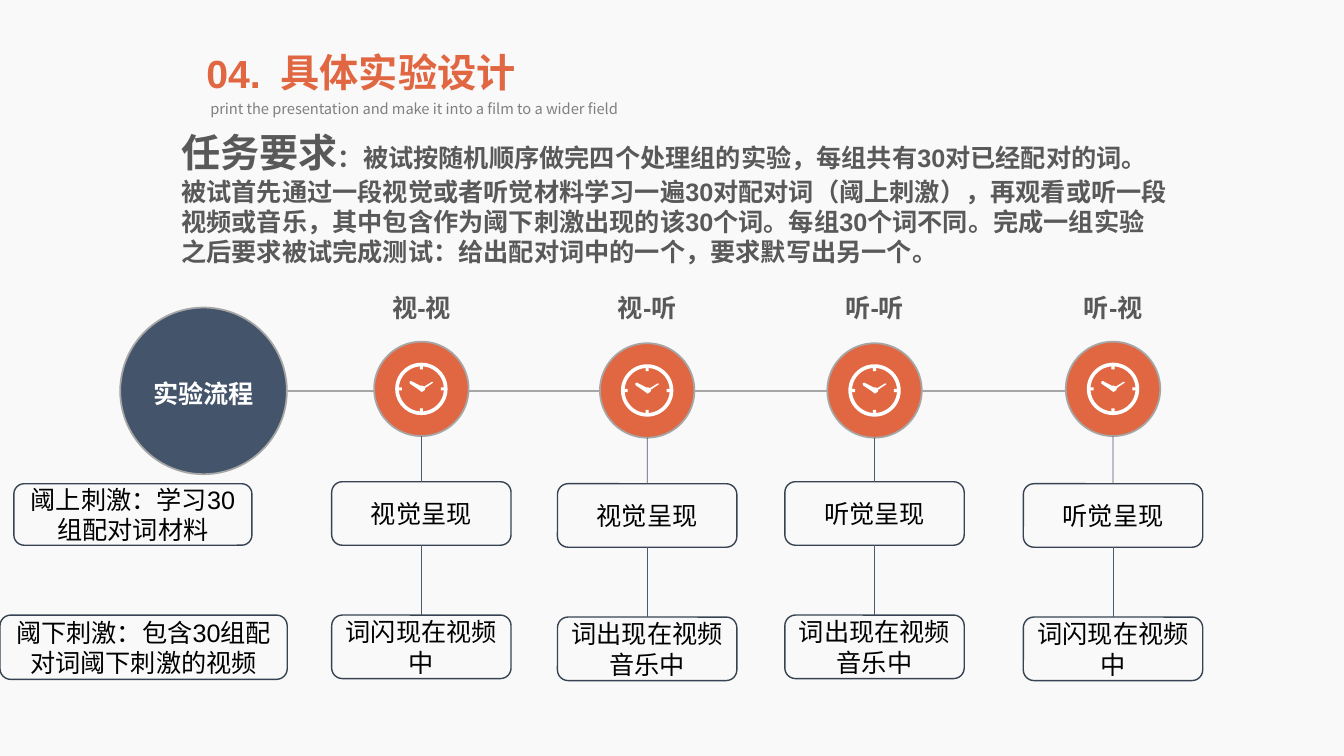
from lxml.etree import SubElement
from pptx import Presentation
from pptx.dml.color import RGBColor
from pptx.enum.shapes import MSO_CONNECTOR, MSO_SHAPE
from pptx.enum.text import MSO_ANCHOR, MSO_AUTO_SIZE, PP_ALIGN
from pptx.oxml.ns import qn
from pptx.util import Cm, Pt

COLORS = {
    "background": "F9F9F9",
    "orange": "E06741",
    "navy": "44546A",
    "gray": "A6A6A6",
    "text": "595959",
    "subtitle": "808080",
    "stem": "4A5A6F",
    "border": "374352",
    "white": "FFFFFF",
    "black": "000000",
}

GROUPS = [
    ("视-视", "视觉呈现", "词闪现在视频中", 10.62, 9.8, 12.14),
    ("视-听", "视觉呈现", "词出现在视频音乐中", 16.31, 9.84, 12.19),
    ("听-听", "听觉呈现", "词出现在视频音乐中", 22.04, 9.84, 12.14),
    ("听-视", "听觉呈现", "词闪现在视频中", 28.05, 9.8, 12.19),
]

TASK_HEADING = "任务要求"
TASK_BODY = (
    "：被试按随机顺序做完四个处理组的实验，每组共有30对已经配对的词。"
    "被试首先通过一段视觉或者听觉材料学习一遍30对配对词（阈上刺激），"
    "再观看或听一段视频或音乐，其中包含作为阈下刺激出现的该30个词。"
    "每组30个词不同。完成一组实验之后要求被试完成测试："
    "给出配对词中的一个，要求默写出另一个。"
)

CIRCLE_RADIUS = 1.19
FLOW_RADIUS = 2.1
FLOW_X, FLOW_Y = 5.13, 9.85
BOX_WIDTH = 4.52
BOX_HEIGHT = 1.6
ROW_STEP = 3.36
CLOCK_RADIUS = 0.66
CLOCK_HANDS = [
    (-260, -200), (-30, -80), (20, -80), (70, -60), (270, -180), (300, -160),
    (95, -20), (85, 30), (10, 80), (-80, 10), (-290, -130), (-300, -180),
]
CLOCK_TICK = [(490, -40), (600, -40), (600, 40), (490, 40)]


def color(name):
    return RGBColor.from_string(COLORS[name])


def format_run(run, size, tint, bold=False, font="Arial"):
    run.font.name = font
    run.font.size = Pt(size)
    run.font.bold = bold
    run.font.color.rgb = color(tint)


def fill_text(shape, text, size, tint, bold=False, align=PP_ALIGN.CENTER, font="Arial"):
    shape.text_frame.text = text
    paragraph = shape.text_frame.paragraphs[0]
    paragraph.alignment = align
    format_run(paragraph.runs[0], size, tint, bold, font)
    return paragraph


def add_text(slide, bounds, text, size, tint, wrap=True, **style):
    label = slide.shapes.add_textbox(*map(Cm, bounds))
    label.text_frame.word_wrap = wrap
    label.text_frame.auto_size = MSO_AUTO_SIZE.SHAPE_TO_FIT_TEXT
    return fill_text(label, text, size, tint, **style)


def paint(shape, fill):
    shape.shadow.inherit = False
    shape.fill.solid()
    shape.fill.fore_color.rgb = color(fill)
    shape.line.fill.background()


def add_round(slide, preset, x, y, radius, fill):
    disc = slide.shapes.add_shape(
        preset, Cm(x - radius), Cm(y - radius), Cm(2 * radius), Cm(2 * radius))
    paint(disc, fill)
    return disc


def add_circle(slide, x, y, radius, fill):
    circle = add_round(slide, MSO_SHAPE.OVAL, x, y, radius, fill)
    circle.line.color.rgb = color("gray")
    circle.line.width = Pt(1.25)


def add_box(slide, bounds, text):
    box = slide.shapes.add_shape(MSO_SHAPE.ROUNDED_RECTANGLE, *map(Cm, bounds))
    box.shadow.inherit = False
    box.fill.background()
    box.line.color.rgb = color("border")
    box.line.width = Pt(1)
    box.text_frame.word_wrap = True
    box.text_frame.vertical_anchor = MSO_ANCHOR.MIDDLE
    fill_text(box, text, 18, "black")
    return box


def add_line(slide, start, end, tint, width):
    line = slide.shapes.add_connector(MSO_CONNECTOR.STRAIGHT, *map(Cm, start + end))
    line.line.color.rgb = color(tint)
    line.line.width = Pt(width)
    SubElement(line._element.spPr, qn("a:effectLst"))
    return line


def add_clock(slide, x, y):
    rim = add_round(slide, MSO_SHAPE.DONUT, x, y, CLOCK_RADIUS, "white")
    rim.adjustments[0] = 0.07
    builder = slide.shapes.build_freeform(*CLOCK_HANDS[0], scale=Cm(0.001))
    builder.add_line_segments(CLOCK_HANDS[1:])
    for cosine, sine in ((1, 0), (0, 1), (-1, 0), (0, -1)):
        tick = [(a * cosine - b * sine, a * sine + b * cosine) for a, b in CLOCK_TICK]
        builder.move_to(*tick[0])
        builder.add_line_segments(tick[1:])
    paint(builder.convert_to_shape(Cm(x), Cm(y)), "white")


def add_group(slide, label, upper, lower, x, circle_y, box_top):
    add_text(slide, (x - 1.61, 7.23, 3.23, 1.02), label, 18, "text", bold=True)
    add_circle(slide, x, circle_y, CIRCLE_RADIUS, "orange")
    add_clock(slide, x, circle_y)
    left = x - BOX_WIDTH / 2
    upper_box = add_box(slide, (left, box_top, BOX_WIDTH, BOX_HEIGHT), upper)
    lower_box = add_box(slide, (left, box_top + ROW_STEP, BOX_WIDTH, BOX_HEIGHT), lower)
    stem = add_line(slide, (x, circle_y + CIRCLE_RADIUS), (x, box_top), "stem", 0.5)
    stem.end_connect(upper_box, 0)
    link = add_line(slide, (x, box_top + BOX_HEIGHT), (x, box_top + ROW_STEP), "stem", 0.5)
    link.begin_connect(upper_box, 2)
    link.end_connect(lower_box, 0)


def add_heading(slide):
    title = slide.shapes.title
    title.left, title.top, title.width, title.height = map(Cm, (6.78, 1.09, 6.5, 1.45))
    title.text_frame.word_wrap = False
    title.text_frame.auto_size = MSO_AUTO_SIZE.NONE
    title.text_frame.vertical_anchor = MSO_ANCHOR.TOP
    fill_text(title, "具体实验设计", 28, "orange", bold=True)
    add_text(slide, (4.95, 1.12, 1.9, 1.45), "04.", 28, "orange",
             wrap=False, bold=True, align=PP_ALIGN.LEFT)
    subtitle = add_text(
        slide, (5.05, 2.34, 12.24, 0.74),
        "print the presentation and make it into a film to a wider field",
        10.5, "subtitle", align=PP_ALIGN.LEFT, font="Noto Sans CJK SC")
    subtitle.line_spacing = 1.14


def main():
    presentation = Presentation()
    presentation.slide_width = Cm(33.87)
    presentation.slide_height = Cm(19.05)
    slide = presentation.slides.add_slide(presentation.slide_layouts[5])
    slide.background.fill.solid()
    slide.background.fill.fore_color.rgb = color("background")

    add_heading(slide)
    task = add_text(slide, (4.32, 3.12, 25.35, 3.76), TASK_HEADING, 28, "text",
                    bold=True, align=PP_ALIGN.LEFT)
    body = task.add_run()
    body.text = TASK_BODY
    format_run(body, 18, "text", bold=True)

    add_line(slide, (FLOW_X + FLOW_RADIUS, FLOW_Y), (27.79, FLOW_Y), "gray", 1.25)
    add_circle(slide, FLOW_X, FLOW_Y, FLOW_RADIUS, "navy")
    flow = add_text(slide, (2.77, 9.25, 4.72, 1.09), "实验流程", 18, "white", bold=True)
    flow.line_spacing = 1.2
    add_box(slide, (0.35, 12.19, 6, 1.55), "阈上刺激：学习30组配对词材料")
    add_box(slide, (0, 15.5, 7.24, 1.62), "阈下刺激：包含30组配对词阈下刺激的视频")
    for group in GROUPS:
        add_group(slide, *group)

    presentation.save("out.pptx")


if __name__ == "__main__":
    main()
